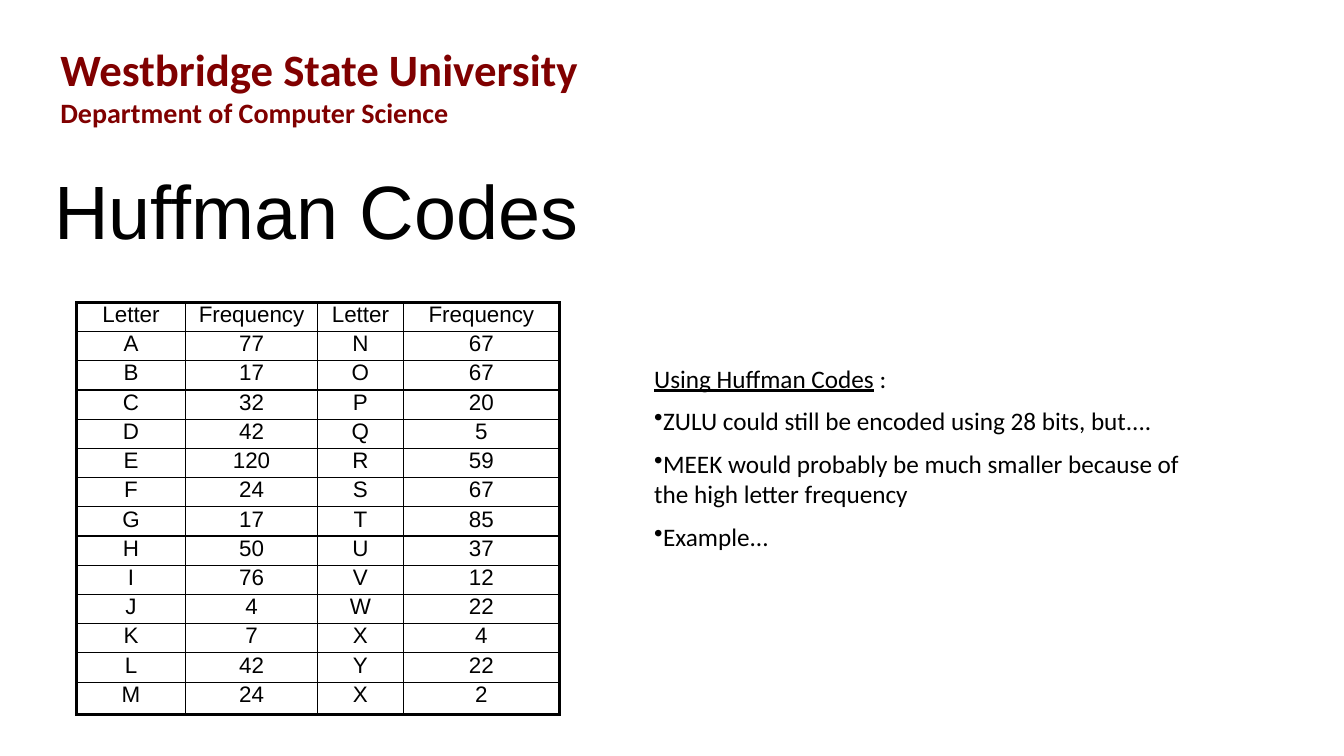
from dataclasses import dataclass

from lxml import etree
from pptx import Presentation
from pptx.dml.color import RGBColor
from pptx.enum.shapes import MSO_SHAPE
from pptx.enum.text import MSO_ANCHOR, PP_ALIGN
from pptx.oxml.ns import qn
from pptx.util import Inches, Pt

COLORS = {"ink": "000000", "maroon": "800000"}


@dataclass
class Style:
    size: int
    font: str = "Calibri"
    color: str = "ink"
    bold: bool = False
    underline: bool = False


@dataclass
class Para:
    runs: list[tuple[str, Style]]
    before: float = 0
    bullet: bool = False
    line: float = 1.0
    align: PP_ALIGN = PP_ALIGN.LEFT


@dataclass
class TextBox:
    left: float
    top: float
    width: float
    height: float
    paras: list[Para]


BODY = Style(18)
CELL = Style(16, "Arial")
THIN, THICK = 1, 2.25

HEADER = TextBox(0.5, 0.36, 7.11, 0.98, [
    Para([("Westbridge State University", Style(32, color="maroon", bold=True))]),
    Para([("Department of Computer Science", Style(20, color="maroon", bold=True))]),
])
NOTES = TextBox(6.39, 3.55, 5.47, 2.52, [
    Para([("Using Huffman Codes", Style(18, underline=True)), (" :", BODY)], before=9),
    *(Para([(text, BODY)], before=9, bullet=True) for text in (
        "ZULU could still be encoded using 28 bits, but....",
        "MEEK would probably be much smaller because of the high letter frequency",
        "Example...",
    )),
])
TITLE = Para([("Huffman Codes", Style(54, "Arial"))], line=0.9)

COL_WIDTHS = [1.08, 1.31, 0.85, 1.55]
ROW_HEIGHTS = [0.29] * 13 + [0.32]
FREQUENCIES = [
    ("Letter", "Frequency", "Letter", "Frequency"),
    ("A", "77", "N", "67"),
    ("B", "17", "O", "67"),
    ("C", "32", "P", "20"),
    ("D", "42", "Q", "5"),
    ("E", "120", "R", "59"),
    ("F", "24", "S", "67"),
    ("G", "17", "T", "85"),
    ("H", "50", "U", "37"),
    ("I", "76", "V", "12"),
    ("J", "4", "W", "22"),
    ("K", "7", "X", "4"),
    ("L", "42", "Y", "22"),
    ("M", "24", "X", "2"),
]


def write(tf, paras: list[Para]) -> None:
    for i, para in enumerate(paras):
        p = tf.paragraphs[0] if i == 0 else tf.add_paragraph()
        p.alignment = para.align
        p.line_spacing = para.line
        p.space_before = Pt(para.before)
        if para.bullet:
            etree.SubElement(p._p.get_or_add_pPr(), qn("a:buChar")).set("char", "•")
        for text, style in para.runs:
            r = p.add_run()
            r.text = text
            r.font.size = Pt(style.size)
            r.font.name = style.font
            r.font.bold = style.bold
            r.font.underline = style.underline
            r.font.color.rgb = RGBColor.from_string(COLORS[style.color])


def add_text(s, box: TextBox) -> None:
    sp = s.shapes.add_textbox(Inches(box.left), Inches(box.top),
                              Inches(box.width), Inches(box.height))
    sp.text_frame.word_wrap = True
    write(sp.text_frame, box.paras)


def add_title(s) -> None:
    sp = s.shapes.add_shape(MSO_SHAPE.ROUNDED_RECTANGLE, Inches(0.36), Inches(1.51),
                            Inches(8.67), Inches(1.25))
    sp.adjustments[0] = 0.217
    sp.shadow.inherit = False
    sp.fill.background()
    sp.line.fill.background()
    sp.text_frame.word_wrap = True
    sp.text_frame.vertical_anchor = MSO_ANCHOR.MIDDLE
    write(sp.text_frame, [TITLE])


def set_border(cell, side: str, width: float) -> None:
    ln = etree.SubElement(cell._tc.get_or_add_tcPr(), qn(f"a:ln{side}"), w=str(Pt(width)))
    fill = etree.SubElement(ln, qn("a:solidFill"))
    etree.SubElement(fill, qn("a:srgbClr"), val=COLORS["ink"])


def add_frequency_table(s) -> None:
    rows, cols = len(FREQUENCIES), len(COL_WIDTHS)
    table = s.shapes.add_table(rows, cols, Inches(0.76), Inches(3),
                               Inches(sum(COL_WIDTHS)), Inches(sum(ROW_HEIGHTS))).table
    table.first_row = table.horz_banding = False
    for col, width in zip(table.columns, COL_WIDTHS):
        col.width = Inches(width)
    for row, height in zip(table.rows, ROW_HEIGHTS):
        row.height = Inches(height)
    for i, values in enumerate(FREQUENCIES):
        for j, value in enumerate(values):
            cell = table.cell(i, j)
            cell.margin_left = cell.margin_right = cell.margin_top = cell.margin_bottom = 0
            # Thick frame outside, thin rules inside
            outer = {"L": j == 0, "R": j == cols - 1, "T": i == 0, "B": i == rows - 1}
            for side, is_outer in outer.items():
                set_border(cell, side, THICK if is_outer else THIN)
            cell.fill.background()
            write(cell.text_frame, [Para([(value, CELL)], align=PP_ALIGN.CENTER)])


def main() -> None:
    prs = Presentation()
    prs.slide_width, prs.slide_height = Inches(13.33), Inches(7.5)
    s = prs.slides.add_slide(prs.slide_layouts[6])
    # Header, table, notes and title
    add_text(s, HEADER)
    add_frequency_table(s)
    add_text(s, NOTES)
    add_title(s)
    prs.save("out.pptx")


if __name__ == "__main__":
    main()
